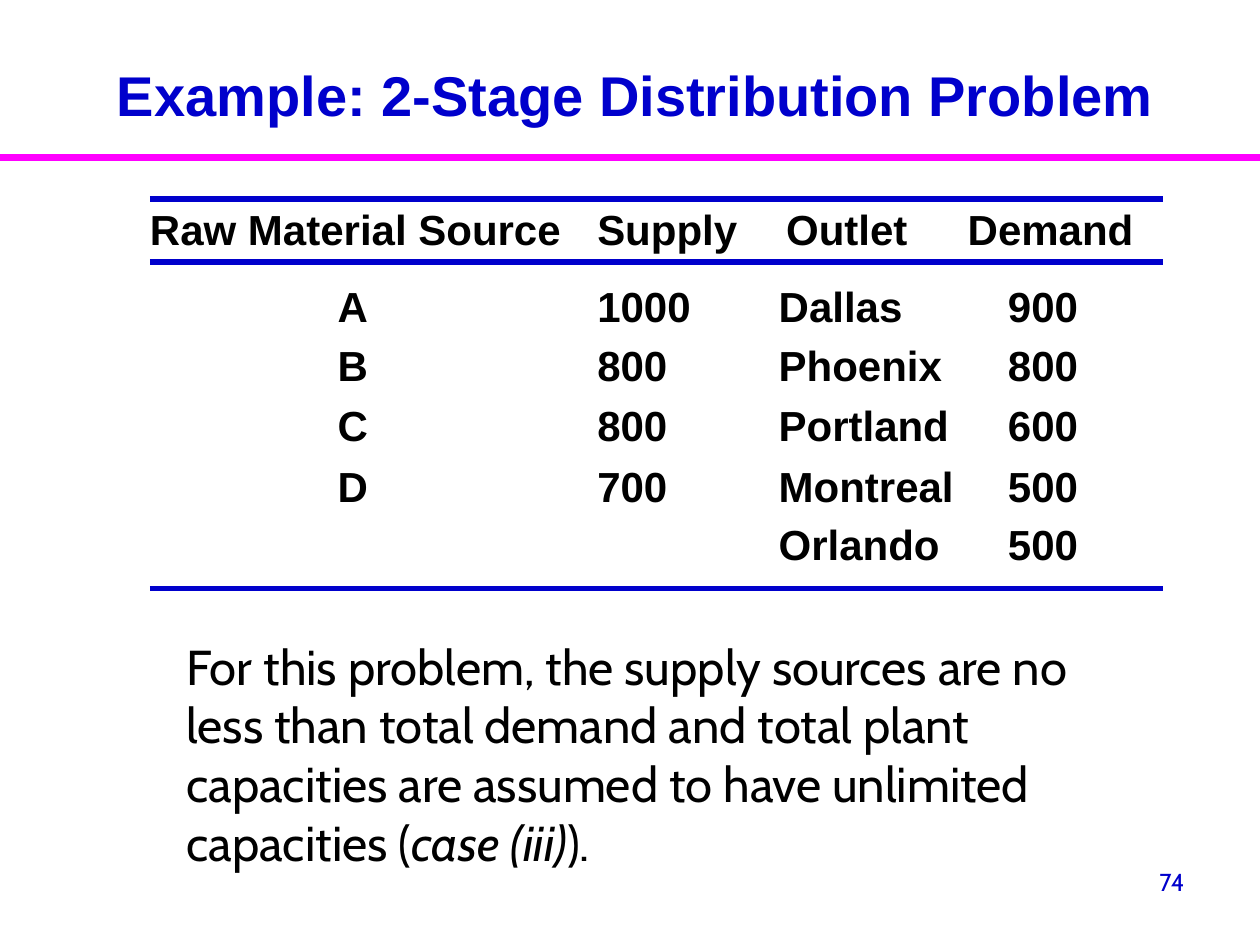
from lxml.etree import SubElement
from pptx import Presentation
from pptx.dml.color import RGBColor
from pptx.enum.shapes import MSO_CONNECTOR as Connector
from pptx.enum.text import MSO_ANCHOR as Anchor, PP_ALIGN as Align
from pptx.oxml.ns import qn
from pptx.util import Inches, Pt

BLUE = RGBColor(0x00, 0x00, 0xCC)
MAGENTA = RGBColor(0xFF, 0x00, 0xFF)
BLACK = RGBColor(0x00, 0x00, 0x00)

SLIDE_WIDTH, SLIDE_HEIGHT = 10, 7.5
COLUMN_EDGES = [1.19, 4.74, 6.18, 7.68, 9.23]
HEADER_INDENTS = [0, 0, 0.06, 0]
BODY_INDENTS = [1.49, 0, 0, 0.32]
TABLE_TOP = 1.58
ROW_HEIGHTS = [0.5, 0.59, 0.47, 0.47, 0.47, 0.59]
ROWS = [
    ["Raw Material Source", "Supply", "Outlet", "Demand"],
    ["A", "1000", "Dallas", "900"],
    ["B", "800", "Phoenix", "800"],
    ["C", "800", "Portland", "600"],
    ["D", "700", "Montreal", "500"],
    ["", "", "Orlando", "500"],
]


def set_font(paragraph, name, size, color, bold=False):
    font = paragraph.font
    font.name, font.size, font.bold = name, Pt(size), bold
    font.color.rgb = color


def add_rule(slide, left, right, y, color, width):
    rule = slide.shapes.add_connector(
        Connector.STRAIGHT, Inches(left), Inches(y), Inches(right), Inches(y))
    rule.line.color.rgb = color
    rule.line.width = Pt(width)
    SubElement(rule._element.spPr, qn("a:effectLst"))


def add_text(slide, box, runs, name, size, color, bold=False,
             align=Align.LEFT, anchor=Anchor.TOP, indent=0.1):
    frame = slide.shapes.add_textbox(*map(Inches, box)).text_frame
    frame.word_wrap = True
    frame.vertical_anchor = anchor
    frame.margin_left = Inches(indent)
    paragraph = frame.paragraphs[0]
    paragraph.alignment = align
    for text, italic in runs:
        run = paragraph.add_run()
        run.text = text
        if italic:
            run.font.italic = True
    set_font(paragraph, name, size, color, bold)


def fill_cell(cell, text, indent, anchor):
    cell.fill.background()
    cell.margin_left, cell.margin_right = Inches(indent), 0
    cell.margin_top = cell.margin_bottom = Inches(0.04)
    cell.vertical_anchor = anchor
    cell.text = text
    set_font(cell.text_frame.paragraphs[0], "Arial", 24, BLACK, bold=True)


def add_supply_table(slide):
    left, right = COLUMN_EDGES[0], COLUMN_EDGES[-1]
    bottom = TABLE_TOP + sum(ROW_HEIGHTS)
    table = slide.shapes.add_table(
        len(ROWS), len(ROWS[0]), Inches(left), Inches(TABLE_TOP),
        Inches(right - left), Inches(bottom - TABLE_TOP)).table
    table.first_row = table.horz_banding = False
    for column, start, end in zip(table.columns, COLUMN_EDGES, COLUMN_EDGES[1:]):
        column.width = Inches(end - start)
    anchors = {1: Anchor.BOTTOM, len(ROWS) - 1: Anchor.TOP}
    for r, (values, height) in enumerate(zip(ROWS, ROW_HEIGHTS)):
        table.rows[r].height = Inches(height)
        indents = BODY_INDENTS if r else HEADER_INDENTS
        for c, (value, indent) in enumerate(zip(values, indents)):
            fill_cell(table.cell(r, c), value, indent, anchors.get(r, Anchor.MIDDLE))
    for y in (TABLE_TOP, TABLE_TOP + ROW_HEIGHTS[0], bottom):
        add_rule(slide, left, right, y, BLUE, 3)


def main():
    deck = Presentation()
    deck.slide_width, deck.slide_height = Inches(SLIDE_WIDTH), Inches(SLIDE_HEIGHT)
    slide = deck.slides.add_slide(deck.slide_layouts[6])

    add_rule(slide, 0, SLIDE_WIDTH, SLIDE_HEIGHT / 6, MAGENTA, 4)
    add_text(slide, (7.17, 6.83, 2.33, 0.52), [("74", False)],
             "Cabin", 14, BLUE, align=Align.RIGHT)
    add_text(slide, (0.83, 0.33, 8.58, 0.83),
             [("Example: 2-Stage Distribution Problem", False)],
             "Arial", 32, BLUE, bold=True, anchor=Anchor.MIDDLE)
    add_supply_table(slide)
    add_text(slide, (1, 5, 7.82, 2.23), [
        ("For this problem, the supply sources are no less than total demand "
         "and total plant capacities are assumed to have unlimited capacities (", False),
        ("case (iii)", True),
        (").", False),
    ], "Cabin", 28, BLACK, indent=0.48)

    deck.save("out.pptx")


if __name__ == "__main__":
    main()
